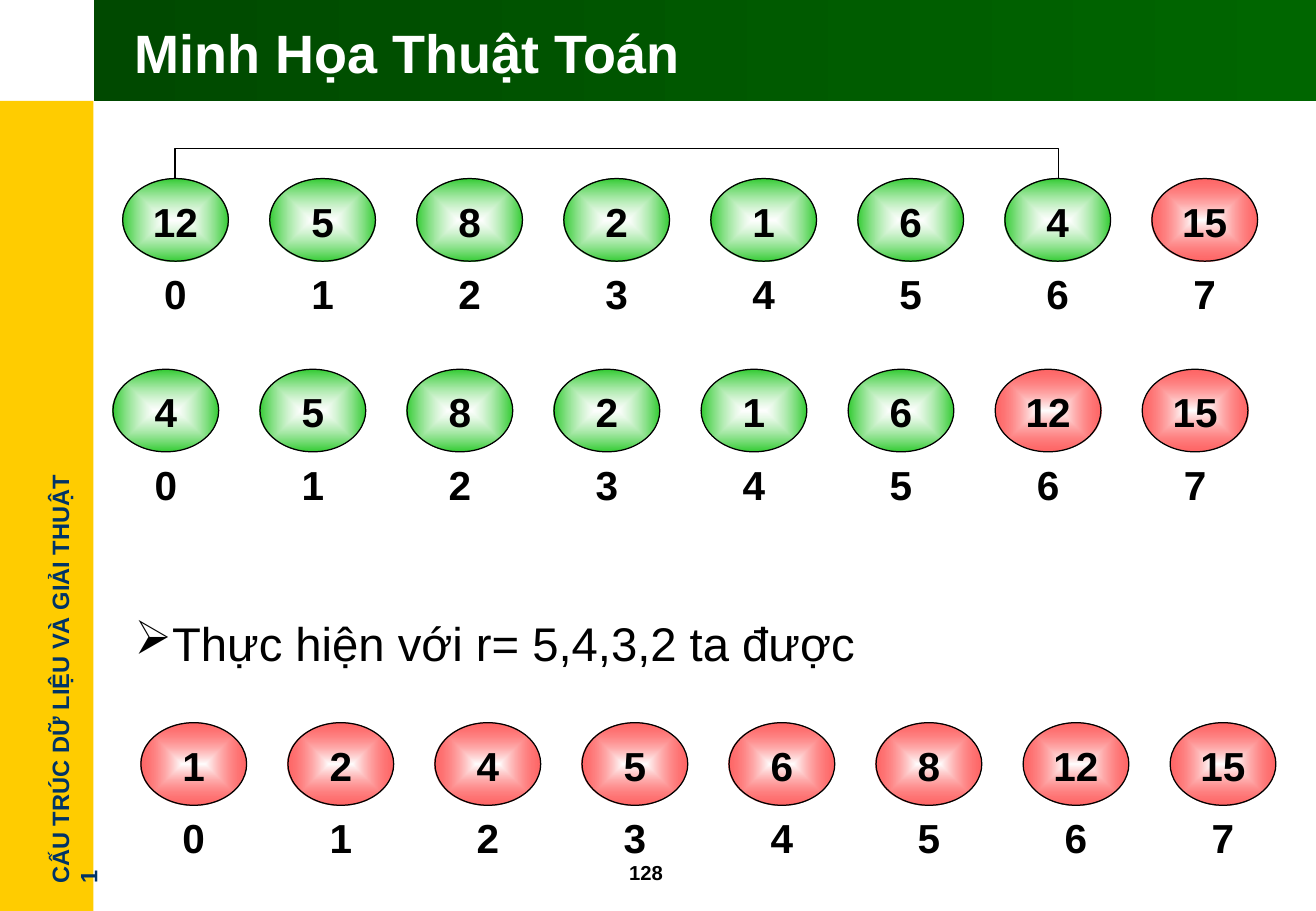
from dataclasses import dataclass

from lxml import etree
from pptx import Presentation
from pptx.dml.color import RGBColor
from pptx.enum import shapes, text
from pptx.oxml import ns
from pptx.util import Inches, Pt


@dataclass(frozen=True)
class Theme:
    font: str = "Arial"
    black: str = "000000"
    white: str = "FFFFFF"
    navy: str = "003366"
    yellow: str = "FFCC00"
    header: tuple = (("004900", 100), ("006600", 100))
    # Gradient stops: colour and opacity in percent
    unsorted: tuple = (("FFFFFF", 60), ("33CC33", 100))
    placed: tuple = (("FFFFFF", 100), ("FF0000", 60))
    title_size: int = 32
    body_size: int = 28
    node_size: int = 24
    sidebar_size: int = 14
    page_size: int = 12
    line_width: float = 0.75


THEME = Theme()
NODE_STEP = 1.21
NODE_WIDTH = 0.87
NODE_HEIGHT = 0.68

# Left, top, values, number of values still unsorted
ROWS = [
    (1.01, 1.47, [12, 5, 8, 2, 1, 6, 4, 15], 7),
    (0.93, 3.04, [4, 5, 8, 2, 1, 6, 12, 15], 6),
    (1.16, 5.95, [1, 2, 4, 5, 6, 8, 12, 15], 0),
]


def child(parent, tag, **attributes):
    return etree.SubElement(parent, ns.qn(tag), attributes)


def set_gradient(shape, stops, radial=False):
    gradient = etree.Element(ns.qn("a:gradFill"), rotWithShape="1")
    stop_list = child(gradient, "a:gsLst")
    for position, (color, opacity) in zip((0, 100000), stops):
        stop = child(stop_list, "a:gs", pos=str(position))
        color_element = child(stop, "a:srgbClr", val=color)
        if opacity < 100:
            child(color_element, "a:alpha", val=str(opacity * 1000))
    if radial:
        center = child(gradient, "a:path", path="shape")
        child(center, "a:fillToRect", l="50000", t="50000", r="50000", b="50000")
    else:
        child(gradient, "a:lin", ang="0", scaled="1")
    geometry = shape._element.spPr.find(ns.qn("a:prstGeom"))
    geometry.addnext(gradient)


def add_plain_shape(slide, kind, left, top, width, height):
    shape = slide.shapes.add_shape(
        kind, Inches(left), Inches(top), Inches(width), Inches(height))
    shape.shadow.inherit = False
    shape.line.fill.background()
    return shape


def write(shape, content, size, color=THEME.black, bold=True,
          align=text.PP_ALIGN.LEFT, anchor=text.MSO_ANCHOR.TOP, bullet=None):
    frame = shape.text_frame
    frame.word_wrap = True
    frame.vertical_anchor = anchor
    paragraph = frame.paragraphs[0]
    paragraph.alignment = align
    if bullet:
        child(paragraph._p.get_or_add_pPr(), "a:buChar", char=bullet)
    run = paragraph.add_run()
    run.text = content
    run.font.name = THEME.font
    run.font.size = Pt(size)
    run.font.bold = bold
    run.font.color.rgb = RGBColor.from_string(color)


def add_text(slide, left, top, width, height, content, size, **style):
    box = slide.shapes.add_textbox(
        Inches(left), Inches(top), Inches(width), Inches(height))
    write(box, content, size, **style)
    return box


def add_node(slide, left, top, value, stops):
    node = add_plain_shape(
        slide, shapes.MSO_SHAPE.OVAL, left, top, NODE_WIDTH, NODE_HEIGHT)
    set_gradient(node, stops, radial=True)
    node.line.color.rgb = RGBColor.from_string(THEME.black)
    node.line.width = Pt(THEME.line_width)
    write(node, str(value), THEME.node_size, align=text.PP_ALIGN.CENTER)


def add_index(slide, left, top, index):
    label = add_plain_shape(
        slide, shapes.MSO_SHAPE.OVAL, left, top, NODE_WIDTH, 0.66)
    label.fill.background()
    write(label, str(index), THEME.node_size, align=text.PP_ALIGN.CENTER)


def add_row(slide, left, top, values, unsorted_count):
    for index, value in enumerate(values):
        x = left + index * NODE_STEP
        stops = THEME.unsorted if index < unsorted_count else THEME.placed
        add_node(slide, x, top, value, stops)
        add_index(slide, x, top + 0.6, index)


def add_swap_bracket(slide, start, end, y, rise):
    # An elbow turned a quarter: its thin side is the vertical one
    thickness = 0.01
    middle, half = (start + end) / 2, (end - start) / 2
    bracket = slide.shapes.add_connector(
        shapes.MSO_CONNECTOR.ELBOW,
        Inches(middle - thickness / 2), Inches(y - half),
        Inches(middle + thickness / 2), Inches(y + half))
    bracket.line.color.rgb = RGBColor.from_string(THEME.black)
    bracket.line.width = Pt(THEME.line_width)
    properties = bracket._element.spPr
    child(properties, "a:effectLst")
    transform = properties.find(ns.qn("a:xfrm"))
    transform.set("rot", "5400000")
    transform.set("flipV", "1")
    guides = properties.find(ns.qn("a:prstGeom")).find(ns.qn("a:avLst"))
    bend = round(-rise / thickness * 100000)
    child(guides, "a:gd", name="adj1", fmla=f"val {bend}")


def add_frame(slide):
    sidebar = add_plain_shape(
        slide, shapes.MSO_SHAPE.RECTANGLE, 0, 0.83, 0.77, 6.67)
    sidebar.fill.solid()
    sidebar.fill.fore_color.rgb = RGBColor.from_string(THEME.yellow)
    course = add_text(slide, -1.37, 5.35, 3.72, 0.33,
                      "CẤU TRÚC DỮ LIỆU VÀ GIẢI THUẬT 1",
                      THEME.sidebar_size, color=THEME.navy)
    course.rotation = 270
    header = add_plain_shape(
        slide, shapes.MSO_SHAPE.RECTANGLE, 0.77, 0, 10.08, 0.83)
    set_gradient(header, THEME.header)
    add_text(slide, 5.08, 7.03, 0.83, 0.3, "128", THEME.page_size)
    add_text(slide, 1.01, 0.09, 9.61, 0.67, "Minh Họa Thuật Toán",
             THEME.title_size, color=THEME.white, anchor=text.MSO_ANCHOR.MIDDLE)


def main():
    presentation = Presentation()
    presentation.slide_width = Inches(10.83)
    presentation.slide_height = Inches(7.5)
    slide = presentation.slides.add_slide(presentation.slide_layouts[6])

    # Sidebar, header, title and page number
    add_frame(slide)

    # Array states, with the swapped pair joined in the first
    for row in ROWS:
        add_row(slide, *row)
    add_swap_bracket(slide, 1.44, 8.71, 1.47, 0.25)

    # Remaining steps
    add_text(slide, 1.01, 5.01, 6.14, 0.57, "Thực hiện với r= 5,4,3,2 ta được",
             THEME.body_size, bold=False, bullet="➢")

    presentation.save("out.pptx")


if __name__ == "__main__":
    main()
